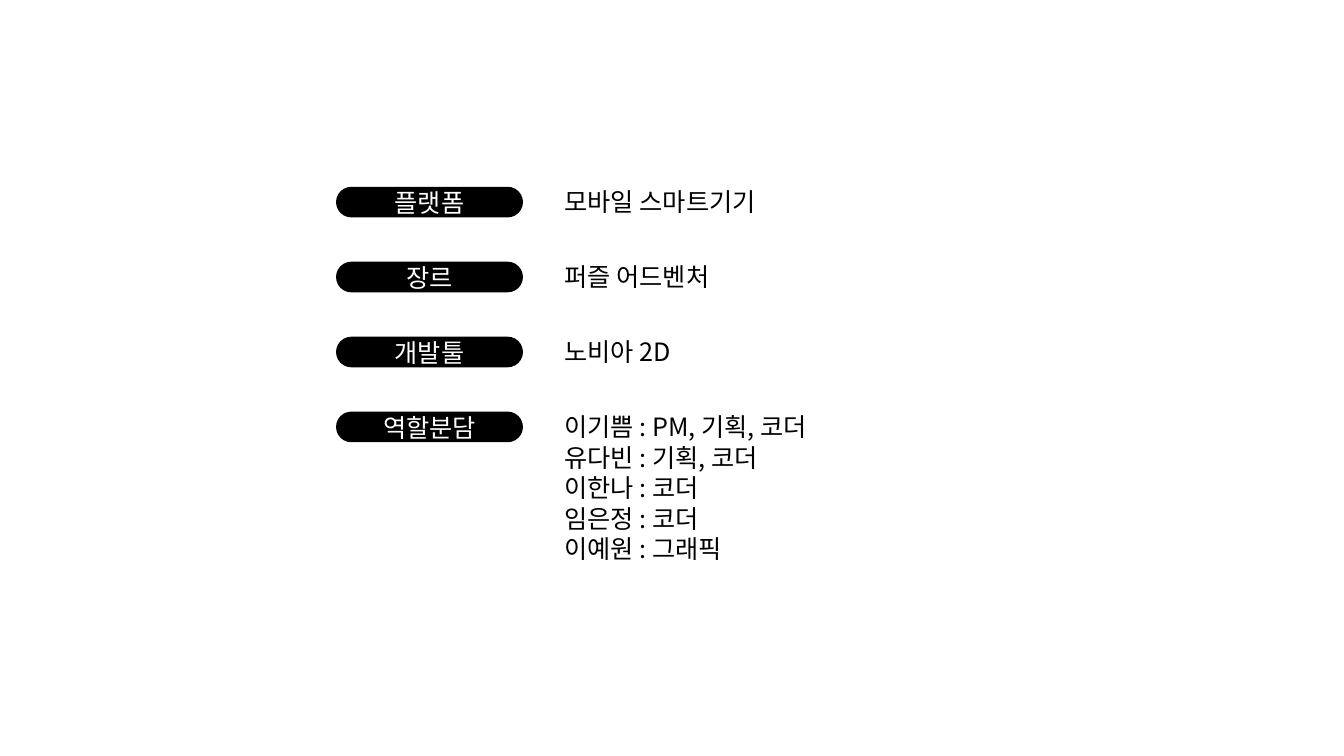
from pptx import Presentation
from pptx.dml.color import RGBColor
from pptx.enum.shapes import MSO_SHAPE as SHAPE
from pptx.enum.text import MSO_ANCHOR as ANCHOR, MSO_AUTO_SIZE as AUTO_SIZE, PP_ALIGN as ALIGN
from pptx.oxml.ns import qn
from pptx.util import Inches, Pt

BLACK = RGBColor(0x00, 0x00, 0x00)
WHITE = RGBColor(0xFF, 0xFF, 0xFF)
FONT = "Noto Sans CJK KR"

FACTS = [
    ("플랫폼", "모바일 스마트기기"),
    ("장르", "퍼즐 어드벤처"),
    ("개발툴", "노비아 2D"),
    ("역할분담", "이기쁨 : PM, 기획, 코더\n유다빈 : 기획, 코더\n이한나 : 코더\n"
               "임은정 : 코더\n이예원 : 그래픽"),
]
FIRST_TOP = Inches(1.86)
LAST_TOP = Inches(4.09)
LINE_HEIGHT = Pt(21.8)


def write_text(tf, text, color, align):
    tf.text = text
    for p in tf.paragraphs:
        p.alignment = align
        p.line_spacing = LINE_HEIGHT
        for r in p.runs:
            r.font.size = Pt(18)
            r.font.name = FONT
            r.font.color.rgb = color
            ea = r.font._element.makeelement(qn("a:ea"), {"typeface": FONT})
            r.font._element.find(qn("a:latin")).addnext(ea)


def add_label(s, top, text):
    pill = s.shapes.add_shape(SHAPE.ROUNDED_RECTANGLE, Inches(3.34), top,
                              Inches(1.84), Inches(0.29))
    pill.adjustments[0] = 0.5
    pill.shadow.inherit = False
    pill.fill.solid()
    pill.fill.fore_color.rgb = BLACK
    pill.line.color.rgb = BLACK
    pill.line.width = Pt(1)
    tf = pill.text_frame
    tf.margin_top = tf.margin_bottom = 0
    tf.vertical_anchor = ANCHOR.MIDDLE
    write_text(tf, text, WHITE, ALIGN.CENTER)


def add_value(s, top, text):
    height = Inches(0.1) + LINE_HEIGHT * len(text.splitlines())
    box = s.shapes.add_textbox(Inches(5.5), top, Inches(2.87), height)
    tf = box.text_frame
    tf.word_wrap = True
    tf.auto_size = AUTO_SIZE.SHAPE_TO_FIT_TEXT
    write_text(tf, text, BLACK, ALIGN.LEFT)


def main():
    prs = Presentation()
    prs.slide_width = Inches(13.33)
    prs.slide_height = Inches(7.5)
    s = prs.slides.add_slide(prs.slide_layouts[6])
    pitch = (LAST_TOP - FIRST_TOP) // (len(FACTS) - 1)
    for i, (label, value) in enumerate(FACTS):
        top = FIRST_TOP + i * pitch
        add_label(s, top, label)
        add_value(s, top - Inches(0.06), value)
    prs.save("out.pptx")


if __name__ == "__main__":
    main()
